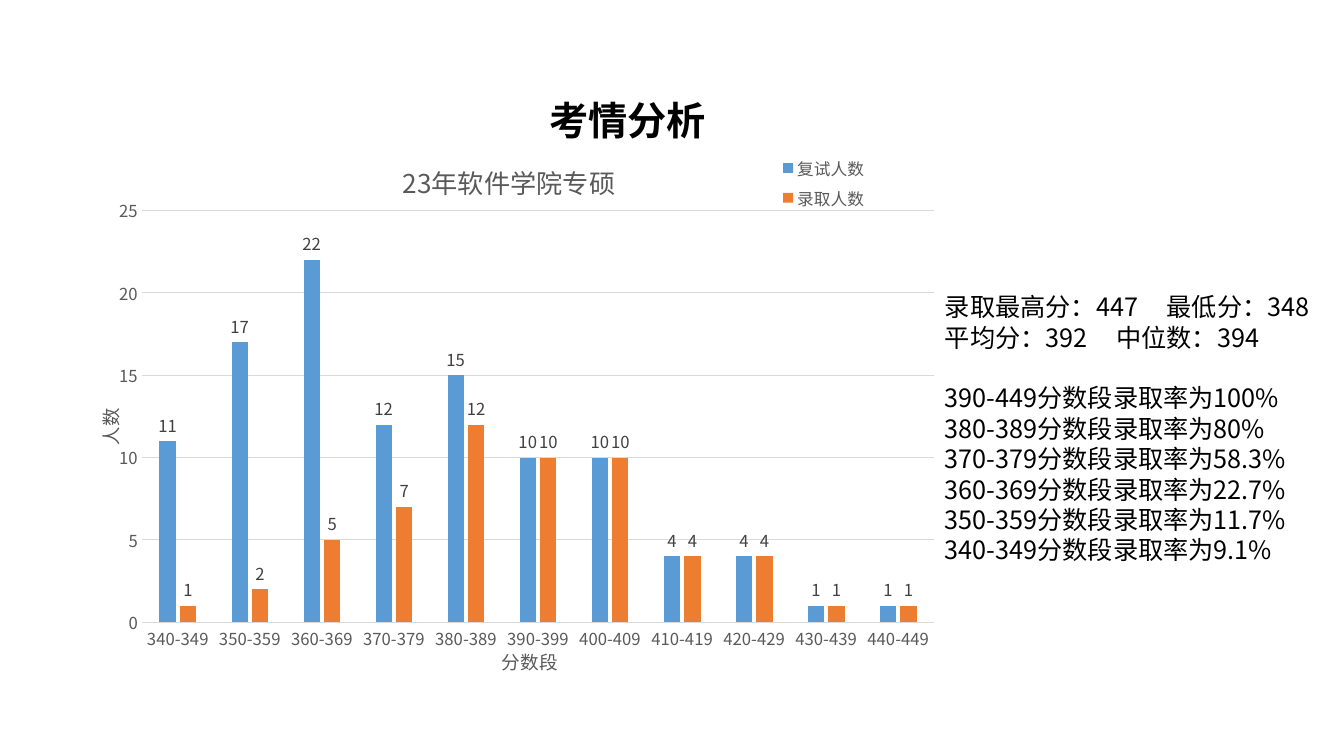
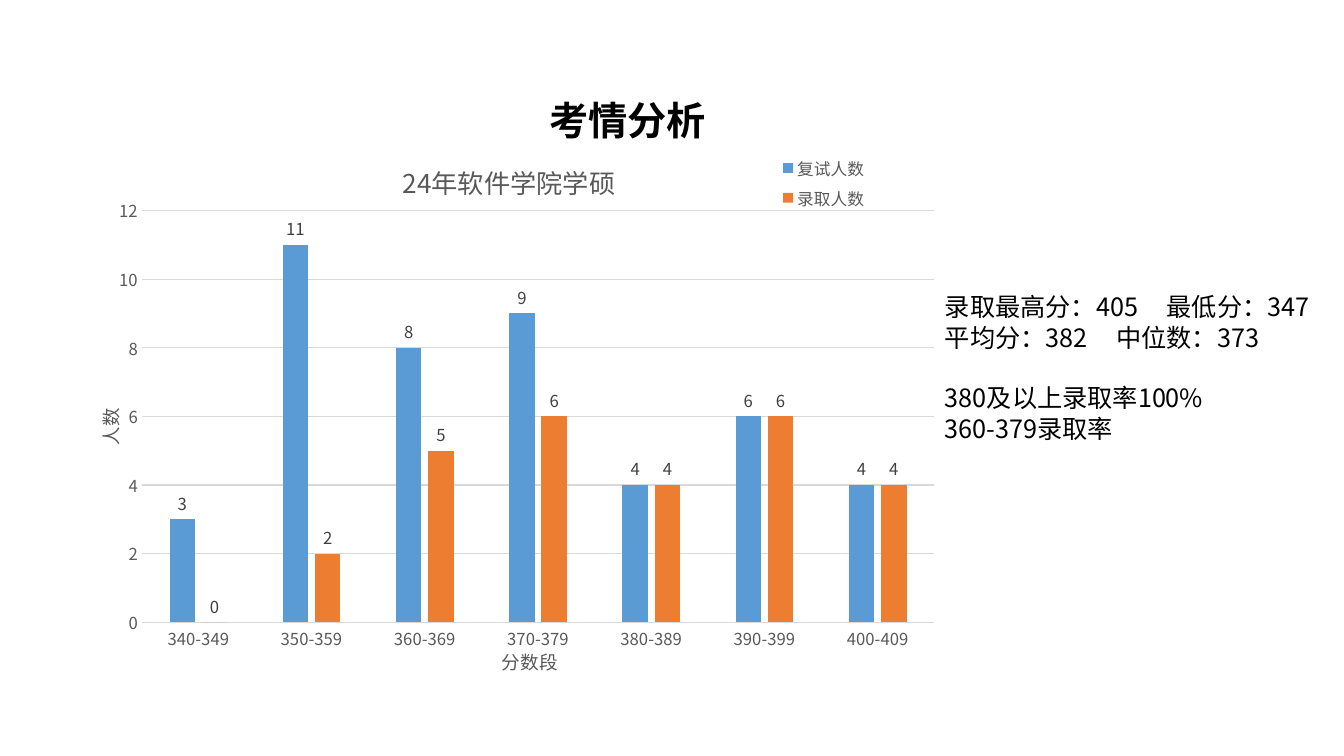
"""Build two slides that chart exam scores against admissions."""
import pptx
import pptx.chart.data
import pptx.dml.color
import pptx.enum.chart
import pptx.enum.text
import pptx.oxml
import pptx.oxml.ns
import pptx.util

RGB = pptx.dml.color.RGBColor
BLACK = RGB(0x00, 0x00, 0x00)
DARK = RGB(0x40, 0x40, 0x40)
GREY = RGB(0x59, 0x59, 0x59)
PALE = RGB(0xD9, 0xD9, 0xD9)
BLUE = RGB(0x5B, 0x9B, 0xD5)
ORANGE = RGB(0xED, 0x7D, 0x31)

FONT = "Noto Sans CJK SC"
WIDE, HIGH = pptx.util.Inches(13.33), pptx.util.Inches(7.5)
COLS, ROWS = 160, 90
LEAD = 21.7
SMALL = 11.9

TITLE = (42.7, 10.9, 64, 6.8)
CHART = (10, 16, 101.3, 65)
NOTE_X, NOTE_Y, NOTE_W = 111.3, 34.1, 50.4
TABS = (2.2, 1.7)

DATA = [
    ("23年软件学院专硕", 340,
     [11, 17, 22, 12, 15, 10, 10, 4, 4, 1, 1],
     [1, 2, 5, 7, 12, 10, 10, 4, 4, 1, 1],
     ["录取最高分：447\t最低分：348", "平均分：392\t中位数：394"],
     ["390-449分数段录取率为100%", "380-389分数段录取率为80%",
      "370-379分数段录取率为58.3%", "360-369分数段录取率为22.7%",
      "350-359分数段录取率为11.7%", "340-349分数段录取率为9.1%"]),
    ("24年软件学院学硕", 340,
     [3, 11, 8, 9, 4, 6, 4],
     [0, 2, 5, 6, 4, 6, 4],
     ["录取最高分：405\t最低分：347", "平均分：382\t中位数：373"],
     ["380及以上录取率100%", "360-379录取率"]),
]


def grid(x, y, w, h):
    """Turn columns and rows into slide lengths."""
    return [int(n * unit) for n, unit in
            zip((x, y, w, h), (WIDE / COLS, HIGH / ROWS) * 2)]


def style(font, size=SMALL, color=GREY, name=FONT, bold=False):
    """Set the look of a font, East Asian face included."""
    font.size, font.bold, font.name = pptx.util.Pt(size), bold, name
    font.color.rgb = color
    space = pptx.oxml.ns.nsdecls("a")
    font._element.append(pptx.oxml.parse_xml(f'<a:ea {space} typeface="{FONT}"/>'))


def write(frame, lines, align=None, lead=None, **look):
    """Fill a text frame with one paragraph a line."""
    for i, line in enumerate(lines):
        para = frame.add_paragraph() if i else frame.paragraphs[0]
        run = para.add_run()
        run.text = line
        style(run.font, **look)
        if align is not None:
            para.alignment = align
        if lead:
            para.line_spacing = pptx.util.Pt(lead)
    return frame.paragraphs


def box(slide, place, lines, **look):
    """Add a wrapped text box."""
    frame = slide.shapes.add_textbox(*grid(*place)).text_frame
    frame.word_wrap = True
    frame.auto_size = pptx.enum.text.MSO_AUTO_SIZE.SHAPE_TO_FIT_TEXT
    return write(frame, lines, **look)


def tab(para, inch):
    """Give a paragraph one left tab stop."""
    space = pptx.oxml.ns.nsdecls("a")
    stop = int(pptx.util.Inches(inch))
    para._p.get_or_add_pPr().append(pptx.oxml.parse_xml(
        f'<a:tabLst {space}><a:tab pos="{stop}" algn="l"/></a:tabLst>'))


def note(slide, stats, rates):
    """Add the score figures and, one line lower, the rates."""
    lines = stats + rates
    high = 1.2 + (len(lines) + 1) * 4.04
    paras = box(slide, (NOTE_X, NOTE_Y, NOTE_W, high), lines,
                size=18, color=BLACK, lead=LEAD)
    paras[len(stats)].space_before = pptx.util.Pt(LEAD)
    for para, inch in zip(paras, TABS):
        tab(para, inch)


def pin(part, index, inner=False, **share):
    """Fix a chart part at shares of the chart's size."""
    for old in part.findall(pptx.oxml.ns.qn("c:layout")):
        part.remove(old)
    mode = '<c:layoutTarget val="inner"/>' if inner else ""
    mode += "".join(f'<c:{k}Mode val="edge"/>' for k in "xy")
    size = "".join(f'<c:{k} val="{v}"/>' for k, v in share.items())
    space = pptx.oxml.ns.nsdecls("c")
    part.insert(index, pptx.oxml.parse_xml(
        f"<c:layout {space}><c:manualLayout>{mode}{size}</c:manualLayout></c:layout>"))


def head(title, text, size, x, y, turn=0):
    """Write and place a chart or axis title."""
    write(title.text_frame, [text], size=size)
    title.text_frame._txBody.bodyPr.set("rot", str(turn * 60000))
    pin(title._element, 1, x=x, y=y)


def axes(chart):
    """Format both axes and the grid lines."""
    cat, val = chart.category_axis, chart.value_axis
    for axis in (cat, val):
        axis.major_tick_mark = pptx.enum.chart.XL_TICK_MARK.NONE
        axis.minor_tick_mark = pptx.enum.chart.XL_TICK_MARK.NONE
        style(axis.tick_labels.font)
    val.has_major_gridlines = True
    for line in (cat.format.line, val.major_gridlines.format.line):
        line.color.rgb, line.width = PALE, pptx.util.Pt(0.75)
    val.format.line.fill.background()
    head(cat.axis_title, "分数段", 13.3, 0.487, 0.942)
    head(val.axis_title, "人数", 13.3, 0.008, 0.501, turn=-90)


def bars(plot):
    """Colour and label the columns."""
    plot.gap_width, plot.overlap, plot.vary_by_categories = 219, -27, False
    for row, color in zip(plot.series, (BLUE, ORANGE)):
        row.format.fill.solid()
        row.format.fill.fore_color.rgb = color
        tags = row.data_labels
        tags.show_value = True
        tags.position = pptx.enum.chart.XL_LABEL_POSITION.OUTSIDE_END
        style(tags.font, color=DARK)


def graph(slide, name, low, tried, passed):
    """Add the column chart of candidates in each score band."""
    data = pptx.chart.data.CategoryChartData()
    data.categories = [f"{low + 10 * i}-{low + 10 * i + 9}" for i in range(len(tried))]
    data.add_series("复试人数", tried)
    data.add_series("录取人数", passed)
    kind = pptx.enum.chart.XL_CHART_TYPE.COLUMN_CLUSTERED
    chart = slide.shapes.add_chart(kind, *grid(*CHART), data).chart
    style(chart.font, size=10, color=BLACK)
    head(chart.chart_title, name, 18.7, 0.369, 0.04)
    axes(chart)
    bars(chart.plots[0])
    chart.has_legend = True
    key = chart.legend
    key.position = pptx.enum.chart.XL_LEGEND_POSITION.BOTTOM
    key.include_in_layout = False
    style(key.font)
    pin(key._element, 1, x=0.81, y=0.03, w=0.12, h=0.12)
    area = chart._chartSpace.chart.plotArea
    pin(area, 0, inner=True, x=0.068, y=0.141, w=0.932, h=0.764)


def main():
    """Build and save the slides."""
    deck = pptx.Presentation()
    deck.slide_width, deck.slide_height = WIDE, HIGH
    for name, low, tried, passed, stats, rates in DATA:
        slide = deck.slides.add_slide(deck.slide_layouts[6])
        box(slide, TITLE, ["考情分析"], size=28, color=BLACK, name="Arial",
            bold=True, align=pptx.enum.text.PP_ALIGN.CENTER)
        note(slide, stats, rates)
        graph(slide, name, low, tried, passed)
    deck.save("out.pptx")


if __name__ == "__main__":
    main()
